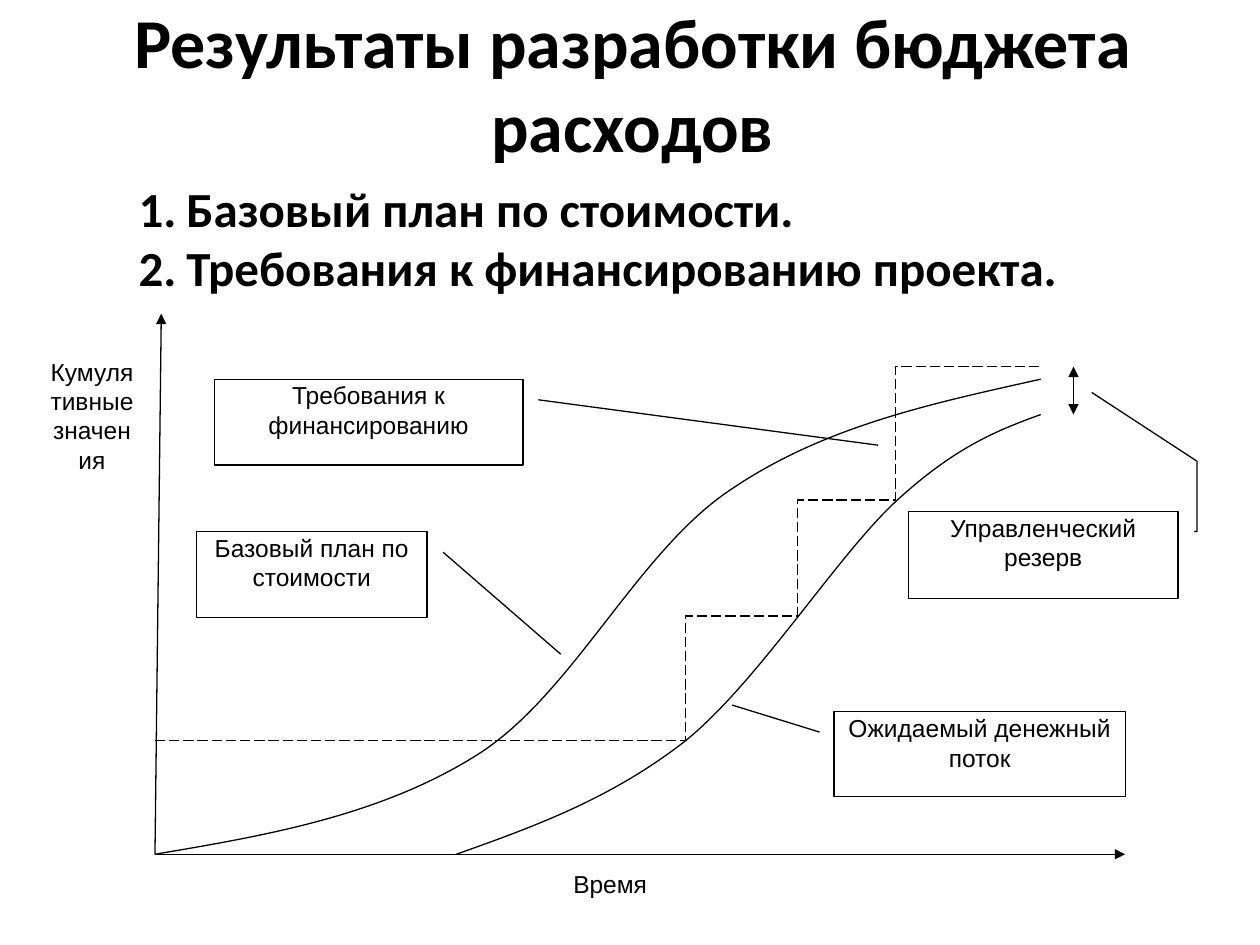
from dataclasses import dataclass

from lxml.etree import SubElement
from pptx import Presentation
from pptx.dml.color import RGBColor
from pptx.enum.dml import MSO_LINE
from pptx.enum.shapes import MSO_CONNECTOR, MSO_SHAPE
from pptx.enum.text import MSO_ANCHOR, MSO_AUTO_SIZE, PP_ALIGN
from pptx.oxml.ns import qn
from pptx.util import Emu, Inches, Pt

COLORS = {"ink": "000000", "paper": "FFFFFF"}
COLS, ROWS = 100, 75

deck = Presentation()
deck.slide_width, deck.slide_height = Inches(10), Inches(7.5)
CELL_W, CELL_H = deck.slide_width / COLS, deck.slide_height / ROWS
slide = deck.slides.add_slide(deck.slide_layouts[1])
shapes = slide.shapes

Point = tuple[float, float]


@dataclass
class Box:
    text: str
    col: float
    row: float
    wide: float
    high: float
    kind: MSO_SHAPE = MSO_SHAPE.RECTANGLE
    bends: tuple[float, ...] = ()
    align: PP_ALIGN = PP_ALIGN.CENTER


@dataclass
class Arrow:
    start: Point
    end: Point
    heads: tuple[str, ...] = ("tailEnd",)


@dataclass
class Trace:
    points: list[Point]
    curved: bool = True


def color(name: str) -> RGBColor:
    return RGBColor.from_string(COLORS[name])


def spot(col: float, row: float) -> tuple[Emu, Emu]:
    return Emu(round(col * CELL_W)), Emu(round(row * CELL_H))


def place(shape, col: float, row: float, wide: float, high: float) -> None:
    shape.left, shape.top = spot(col, row)
    shape.width, shape.height = spot(wide, high)


def write(para, text: str, size: float, font: str, bold: bool = False) -> None:
    run = para.add_run()
    run.text = text
    run.font.size, run.font.name, run.font.bold = Pt(size), font, bold
    run.font.color.rgb = color("ink")


def stroke(line) -> None:
    line.color.rgb = color("ink")
    line.width = Pt(0.75)


def draw_box(box: Box) -> None:
    shape = shapes.add_shape(box.kind, *spot(box.col, box.row), *spot(box.wide, box.high))
    shape.shadow.inherit = False
    shape.fill.solid()
    shape.fill.fore_color.rgb = color("paper")
    if box.bends:
        stroke(shape.line)
    else:
        shape.line.fill.background()
    for index, bend in enumerate(box.bends):
        shape.adjustments[index] = bend
    frame = shape.text_frame
    frame.word_wrap = True
    frame.vertical_anchor = MSO_ANCHOR.TOP
    frame.margin_left = frame.margin_right = Inches(0.02)
    frame.margin_top = frame.margin_bottom = Inches(0.01)
    para = frame.paragraphs[0]
    para.alignment = box.align
    write(para, box.text, 14, "Arial")


def draw_arrow(arrow: Arrow) -> None:
    link = shapes.add_connector(MSO_CONNECTOR.STRAIGHT, *spot(*arrow.start), *spot(*arrow.end))
    stroke(link.line)
    props = link._element.spPr
    for head in arrow.heads:
        SubElement(props.find(qn("a:ln")), qn(f"a:{head}"), type="triangle")
    SubElement(props, qn("a:effectLst"))


def draw_trace(trace: Trace) -> None:
    first, *rest = [spot(*point) for point in trace.points]
    maker = shapes.build_freeform(*first)
    maker.add_line_segments(rest, close=False)
    shape = maker.convert_to_shape()
    shape.shadow.inherit = False
    shape.fill.background()
    stroke(shape.line)
    if not trace.curved:
        shape.line.dash_style = MSO_LINE.LONG_DASH
        return
    track = next(shape._element.iter(qn("a:path")))
    steps = track.findall(qn("a:lnTo"))
    for index in range(0, len(steps), 3):
        curve = SubElement(track, qn("a:cubicBezTo"))
        for step in steps[index:index + 3]:
            curve.append(step[0])
            track.remove(step)


def fill_head(text: str) -> None:
    title = shapes.title
    place(title, 5.8, -0.7, 88.8, 14.5)
    title.text_frame.auto_size = MSO_AUTO_SIZE.NONE
    para = title.text_frame.paragraphs[0]
    para.alignment = PP_ALIGN.CENTER
    write(para, text, 40, "Calibri", True)


def fill_list(items: list[str]) -> None:
    body = slide.placeholders[1]
    place(body, 10, 13.7, 76.6, 10.4)
    frame = body.text_frame
    frame.auto_size = MSO_AUTO_SIZE.NONE
    for index, item in enumerate(items):
        para = frame.add_paragraph() if index else frame.paragraphs[0]
        para.space_before = Pt(0)
        props = para._p.get_or_add_pPr()
        props.set("marL", str(Inches(0.38)))
        props.set("indent", str(-Inches(0.38)))
        SubElement(props, qn("a:buFont"), typeface="+mj-lt")
        SubElement(props, qn("a:buAutoNum"), type="arabicPeriod")
        write(para, item, 28, "Calibri", True)


ORIGIN = (12.3, 67.8)
ARROWS = [
    Arrow(ORIGIN, (12.8, 24.9)),
    Arrow(ORIGIN, (89.3, 67.8)),
    Arrow((85.2, 29.1), (85.2, 32.9), ("headEnd", "tailEnd")),
]
TRACES = [
    Trace([ORIGIN, (21.3, 66.3), (30.3, 64.7), (37.9, 59.9), (45.5, 55.1),
           (50.6, 43.7), (58.1, 38.8), (65.5, 33.8), (74.1, 32), (82.6, 30.1)]),
    Trace([(36.2, 67.8), (42.4, 65.6), (48.5, 63.4), (54.4, 58.8), (60.2, 54.1),
           (66.5, 44), (71.2, 39.7), (75.9, 35.4), (79.3, 34.1), (82.6, 32.9)]),
    Trace([(12.3, 58.8), (54.4, 58.8), (54.4, 48.9), (63.3, 48.9), (63.3, 39.7),
           (71.1, 39.7), (71.1, 29.1), (82.6, 29.1)], curved=False),
]
LABELS = [
    Box("Время", 45.3, 68.9, 11, 3.6, align=PP_ALIGN.LEFT),
    Box("Кумулятивные значения", 3.7, 28.2, 7.2, 35.9),
]
ONE, THREE = MSO_SHAPE.LINE_CALLOUT_1, MSO_SHAPE.LINE_CALLOUT_3
NOTES = [
    Box("Ожидаемый денежный поток", 66.2, 56.5, 23.1, 6.7, ONE,
        (0.24, -0.05, -0.08, -0.35)),
    Box("Базовый план по стоимости", 15.6, 42.2, 18.3, 6.8, ONE,
        (0.24, 1.07, 1.43, 1.58)),
    Box("Требования к финансированию", 17, 30.1, 24.5, 6.8, ONE,
        (0.24, 1.05, 0.77, 2.15)),
    Box("Управленческий резерв", 72.1, 40.6, 21.4, 6.9, THREE,
        (0.23, 1.06, 0.23, 1.07, -0.58, 1.07, -1.37, 0.68)),
]

fill_head("Результаты разработки бюджета расходов")
fill_list(["Базовый план по стоимости. ", "Требования к финансированию проекта. "])
for label in LABELS:
    draw_box(label)
for arrow in ARROWS:
    draw_arrow(arrow)
for trace in TRACES:
    draw_trace(trace)
for note in NOTES:
    draw_box(note)

deck.save("out.pptx")
